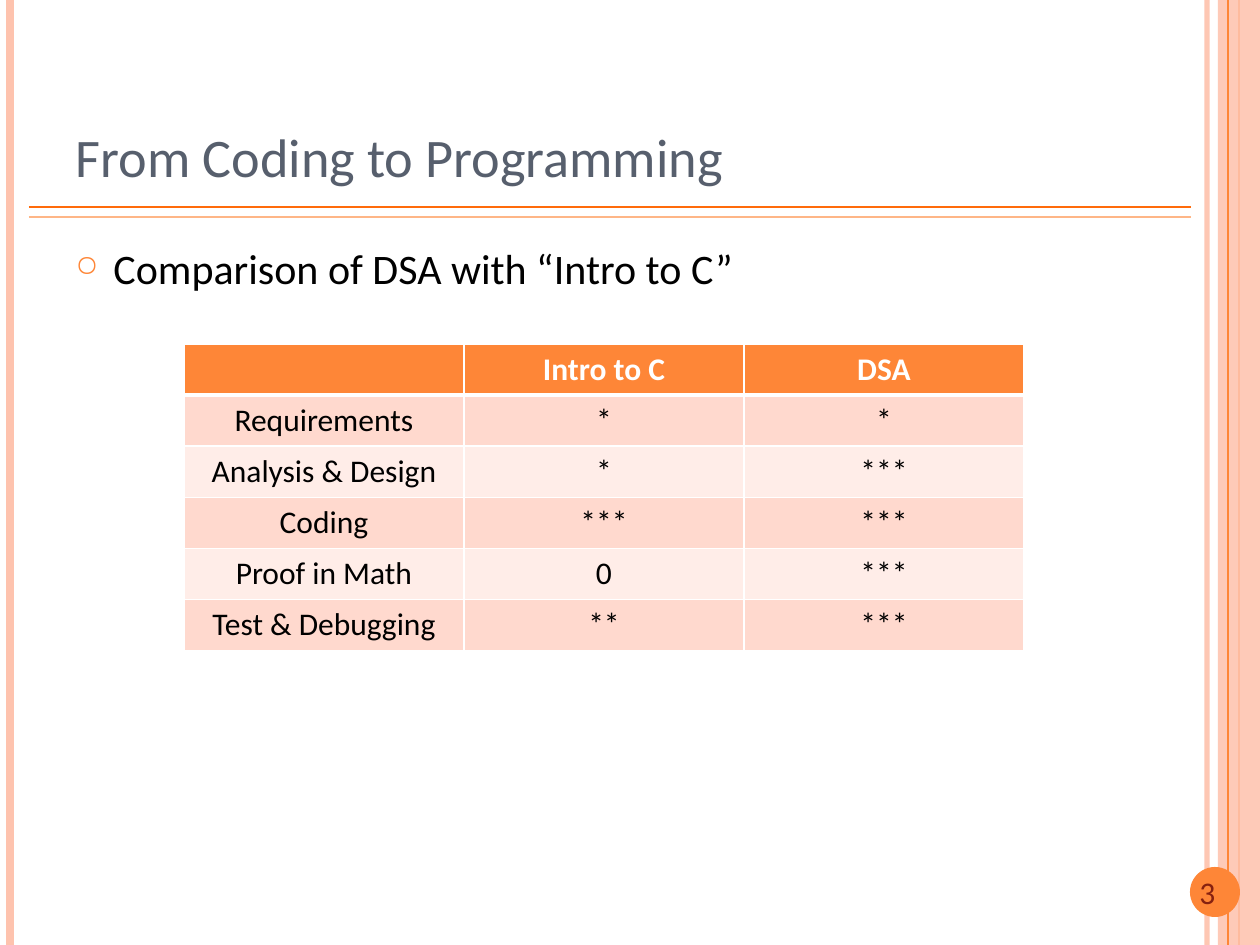
from dataclasses import dataclass

from lxml import etree
from pptx import Presentation
from pptx.dml.color import RGBColor
from pptx.enum.shapes import MSO_CONNECTOR, MSO_SHAPE
from pptx.enum.text import MSO_ANCHOR, MSO_AUTO_SIZE, PP_ALIGN
from pptx.oxml.ns import qn
from pptx.util import Emu, Pt

STRAIGHT = MSO_CONNECTOR.STRAIGHT
RECTANGLE, OVAL = MSO_SHAPE.RECTANGLE, MSO_SHAPE.OVAL
TOP, BOTTOM = MSO_ANCHOR.TOP, MSO_ANCHOR.BOTTOM
LEFT, CENTER = PP_ALIGN.LEFT, PP_ALIGN.CENTER
NO_AUTOFIT = MSO_AUTO_SIZE.NONE
TITLE_ONLY = 5
WIDTH, HEIGHT = 1260, 945


@dataclass(frozen=True)
class Theme:
    font: str = "Calibri"
    title: str = "575F6D"
    text: str = "000000"
    white: str = "FFFFFF"
    accent: str = "FE8637"
    pale: str = "FEC3AE"
    rule: str = "FF6B0A"
    soft_rule: str = "FEB687"
    number: str = "862110"
    bands: tuple = ("FFD9CE", "FFEDE8")
    title_size: int = 31
    body_size: int = 24
    small_size: int = 18


THEME = Theme()
TABLE_ROWS = [
    ("", "Intro to C", "DSA"),
    ("Requirements", "*", "*"),
    ("Analysis & Design", "*", "***"),
    ("Coding", "***", "***"),
    ("Proof in Math", "0", "***"),
    ("Test & Debugging", "**", "***"),
]


def px(length):
    return Emu(round(length * 914400 / 126))


def rgb(color):
    return RGBColor.from_string(color)


def set_alpha(fill_parent, percent):
    color = next(fill_parent.iter(qn("a:srgbClr")))
    etree.SubElement(color, qn("a:alpha")).set("val", str(percent * 1000))


def style_paragraph(paragraph, size, color, align=LEFT, bold=False):
    paragraph.alignment = align
    font = paragraph.font
    font.name, font.size, font.bold = THEME.font, Pt(size), bold
    font.color.rgb = rgb(color)


def add_line(slide, start, end, color, weight, alpha=None):
    line = slide.shapes.add_connector(STRAIGHT, *map(px, start + end))
    line.line.color.rgb = rgb(color)
    line.line.width = Pt(weight)
    properties = line._element.spPr
    if alpha:
        set_alpha(properties, alpha)
    etree.SubElement(properties, qn("a:effectLst"))


def add_filled_shape(slide, kind, box, color, alpha=None):
    shape = slide.shapes.add_shape(kind, *map(px, box))
    shape.shadow.inherit = False
    shape.fill.solid()
    shape.fill.fore_color.rgb = rgb(color)
    shape.line.fill.background()
    if alpha:
        set_alpha(shape._element.spPr, alpha)


def fill_text(shape, text, size, color, anchor=TOP):
    frame = shape.text_frame
    frame.word_wrap = True
    frame.auto_size = NO_AUTOFIT
    frame.vertical_anchor = anchor
    frame.text = text
    paragraph = frame.paragraphs[0]
    style_paragraph(paragraph, size, color)
    return paragraph


def add_text(slide, box, text, size, color):
    return fill_text(slide.shapes.add_textbox(*map(px, box)), text, size, color)


def add_title(slide, box, text):
    title = slide.shapes.title
    title.left, title.top, title.width, title.height = map(px, box)
    fill_text(title, text, THEME.title_size, THEME.title, BOTTOM)


def add_bullet(paragraph, character, color, percent, indent):
    paragraph.space_before = Pt(6)
    properties = paragraph._p.get_or_add_pPr()
    properties.set("marL", str(px(indent)))
    properties.set("indent", str(-px(indent)))
    bullet_color = etree.Element(qn("a:buClr"))
    etree.SubElement(bullet_color, qn("a:srgbClr")).set("val", color)
    bullet_size = etree.Element(qn("a:buSzPct"), val=str(percent * 1000))
    bullet = etree.Element(qn("a:buChar"), char=character)
    position = properties.index(properties.find(qn("a:defRPr")))
    properties[position:position] = [bullet_color, bullet_size, bullet]


def set_borders(cell, **weights):
    properties = cell._tc.get_or_add_tcPr()
    for side in "LRTB":
        width = str(Pt(weights.get(side, 1)))
        border = etree.SubElement(properties, qn(f"a:ln{side}"), w=width)
        fill = etree.SubElement(border, qn("a:solidFill"))
        etree.SubElement(fill, qn("a:srgbClr")).set("val", THEME.white)


def add_table(slide, left, top, column_width, row_height, rows):
    columns = len(rows[0])
    box = left, top, column_width * columns, row_height * len(rows)
    table = slide.shapes.add_table(len(rows), columns, *map(px, box)).table
    for row_index, row in enumerate(rows):
        header = row_index == 0
        fill = THEME.accent if header else THEME.bands[(row_index - 1) % 2]
        color = THEME.white if header else THEME.text
        weights = {0: {"B": 3}, 1: {"T": 3}}.get(row_index, {})
        for column_index, text in enumerate(row):
            cell = table.cell(row_index, column_index)
            set_borders(cell, **weights)
            cell.fill.solid()
            cell.fill.fore_color.rgb = rgb(fill)
            cell.text = text
            paragraph = cell.text_frame.paragraphs[0]
            style_paragraph(paragraph, THEME.small_size, color, CENTER, header)


def add_frame(slide):
    def vertical(x, color, weight, alpha=None):
        add_line(slide, (x, 0), (x, HEIGHT), color, weight, alpha)

    vertical(1207, THEME.pale, 3, 93)
    vertical(10, THEME.pale, 4.5)
    vertical(1239, THEME.accent, 1.5)
    add_filled_shape(slide, RECTANGLE, (1218, 0, 42, HEIGHT), THEME.pale, 87)
    vertical(1228, THEME.accent, 0.75)
    for y, color in ((207, THEME.rule), (217, THEME.soft_rule)):
        add_line(slide, (29, y), (1191, y), color, 1)


def add_slide_number(slide, number):
    add_filled_shape(slide, OVAL, (1190, 867, 50, 50), THEME.accent)
    box = 1187, 867, 63, 50
    add_text(slide, box, number, THEME.small_size, THEME.number)


def main():
    presentation = Presentation()
    presentation.slide_width, presentation.slide_height = px(WIDTH), px(HEIGHT)
    slide = presentation.slides.add_slide(presentation.slide_layouts[TITLE_ONLY])
    add_frame(slide)
    add_slide_number(slide, "3")
    add_title(slide, (63, 38, 1089, 157), "From Coding to Programming")
    heading = add_text(slide, (63, 236, 1029, 656),
                       "Comparison of DSA with “Intro to C”",
                       THEME.body_size, THEME.text)
    add_bullet(heading, "○", THEME.accent, 70, 38)
    add_table(slide, 184, 344, 280, 51, TABLE_ROWS)
    presentation.save("out.pptx")


if __name__ == "__main__":
    main()
